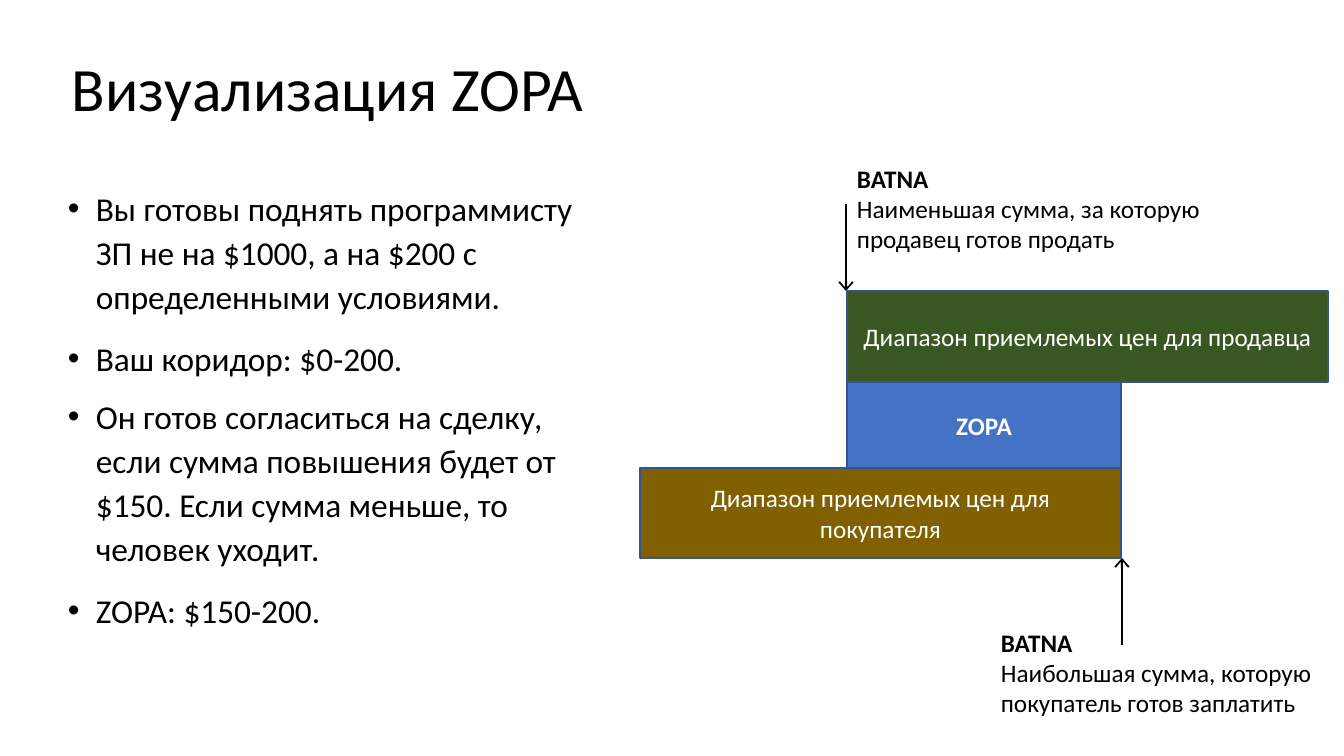
from dataclasses import dataclass
from lxml import etree
from pptx import Presentation
from pptx import util as u
from pptx.dml.color import RGBColor
from pptx.enum import shapes, text
from pptx.oxml.ns import qn

TITLE = "Визуализация ZOPA"
POINTS = [
    ("Вы готовы поднять программисту ЗП не на $1000, а на $200 с определенными условиями.", 0),
    ("Ваш коридор: $0-200.", 13.1),
    ("Он готов согласиться на сделку, если сумма повышения будет от $150. "
     "Если сумма меньше, то человек уходит.", 10),
    ("ZOPA: $150-200.", 13.1),
]
SELLER = "Диапазон приемлемых цен для продавца"
BUYER = "Диапазон приемлемых цен для покупателя"
ZOPA = "ZOPA"
SELLER_LIMIT = ["BATNA", "Наименьшая сумма, за которую продавец готов продать"]
BUYER_LIMIT = ["BATNA", "Наибольшая сумма, которую покупатель готов заплатить"]


@dataclass
class Theme:
    font: str = "Calibri"
    ink: str = "000000"
    light: str = "FFFFFF"
    seller: str = "385723"
    buyer: str = "806000"
    zopa: str = "4472C4"
    outline: str = "325491"
    title_size: float = 44
    body_size: float = 23.8
    label_size: float = 18


theme = Theme()
EMU_PER_PX = 914400 / 100.8


def px(length):
    return u.Emu(round(length * EMU_PER_PX))


def style(paragraph, size, color, bold=False):
    for run in paragraph.runs:
        run.font.name = theme.font
        run.font.size = u.Pt(size)
        run.font.bold = bold
        run.font.color.rgb = RGBColor.from_string(color)


def add_text(slide, left, top, width, height):
    frame = slide.shapes.add_textbox(px(left), px(top), px(width), px(height)).text_frame
    frame.word_wrap = True
    return frame


def add_title(slide):
    frame = add_text(slide, 72, 48, 562, 76)
    frame.margin_left = frame.margin_right = frame.margin_bottom = 0
    frame.margin_top = px(1)
    frame.vertical_anchor = text.MSO_ANCHOR.MIDDLE
    frame.text = TITLE
    style(frame.paragraphs[0], theme.title_size, theme.ink)


def add_points(slide):
    frame = add_text(slide, 58, 179, 534, 517)
    frame.text = "\n".join(point for point, _ in POINTS)
    for paragraph, (_, gap) in zip(frame.paragraphs, POINTS):
        paragraph.line_spacing = 1.1
        paragraph.space_before = u.Pt(gap)
        props = paragraph._p.get_or_add_pPr()
        props.set("marL", str(px(28)))
        props.set("indent", str(-px(28)))
        etree.SubElement(props, qn("a:buFont")).set("typeface", "Arial")
        etree.SubElement(props, qn("a:buChar")).set("char", "•")
        style(paragraph, theme.body_size, theme.ink)


def add_limit(slide, lines, left, top, width):
    frame = add_text(slide, left, top, width, 102)
    frame.text = "\n".join(lines)
    for index, paragraph in enumerate(frame.paragraphs):
        style(paragraph, theme.label_size, theme.ink, index == 0)


def add_range(slide, label, color, left, top, right, bottom, bold=False):
    bar = slide.shapes.add_shape(shapes.MSO_SHAPE.RECTANGLE, px(left), px(top),
                                 px(right - left), px(bottom - top))
    bar.shadow.inherit = False
    bar.fill.solid()
    bar.fill.fore_color.rgb = RGBColor.from_string(color)
    bar.line.color.rgb = RGBColor.from_string(theme.outline)
    bar.line.width = u.Pt(1)
    frame = bar.text_frame
    frame.word_wrap = True
    frame.vertical_anchor = text.MSO_ANCHOR.MIDDLE
    frame.text = label
    frame.paragraphs[0].alignment = text.PP_ALIGN.CENTER
    style(frame.paragraphs[0], theme.label_size, theme.light, bold)


def add_arrow(slide, x, start, end):
    arrow = slide.shapes.add_connector(shapes.MSO_CONNECTOR.STRAIGHT,
                                       px(x), px(start), px(x), px(end))
    arrow.line.color.rgb = RGBColor.from_string(theme.ink)
    arrow.line.width = u.Pt(1.5)
    head = etree.SubElement(arrow.line._get_or_add_ln(), qn("a:tailEnd"))
    for key, value in (("type", "arrow"), ("w", "lg"), ("len", "med")):
        head.set(key, value)
    etree.SubElement(arrow._element.spPr, qn("a:effectLst"))


def main():
    deck = Presentation()
    deck.slide_width, deck.slide_height = px(1344), px(756)
    slide = deck.slides.add_slide(deck.slide_layouts[6])
    add_title(slide)
    add_points(slide)

    buyer_left, seller_left, buyer_right, seller_right = 640, 847, 1121, 1328
    seller_top, zopa_top, buyer_top, buyer_bottom = 291, 382, 468, 558
    arrow_length = 87
    add_arrow(slide, seller_left - 1, seller_top - arrow_length, seller_top)
    add_arrow(slide, buyer_right + 1, buyer_bottom + arrow_length, buyer_bottom)
    add_limit(slide, SELLER_LIMIT, seller_left, 158, 368)
    add_limit(slide, BUYER_LIMIT, 991, 622, seller_right - 991)
    add_range(slide, SELLER, theme.seller, seller_left, seller_top, seller_right, zopa_top)
    add_range(slide, BUYER, theme.buyer, buyer_left, buyer_top, buyer_right, buyer_bottom)
    add_range(slide, ZOPA, theme.zopa, seller_left, zopa_top, buyer_right, buyer_top, True)
    deck.save("out.pptx")


if __name__ == "__main__":
    main()
